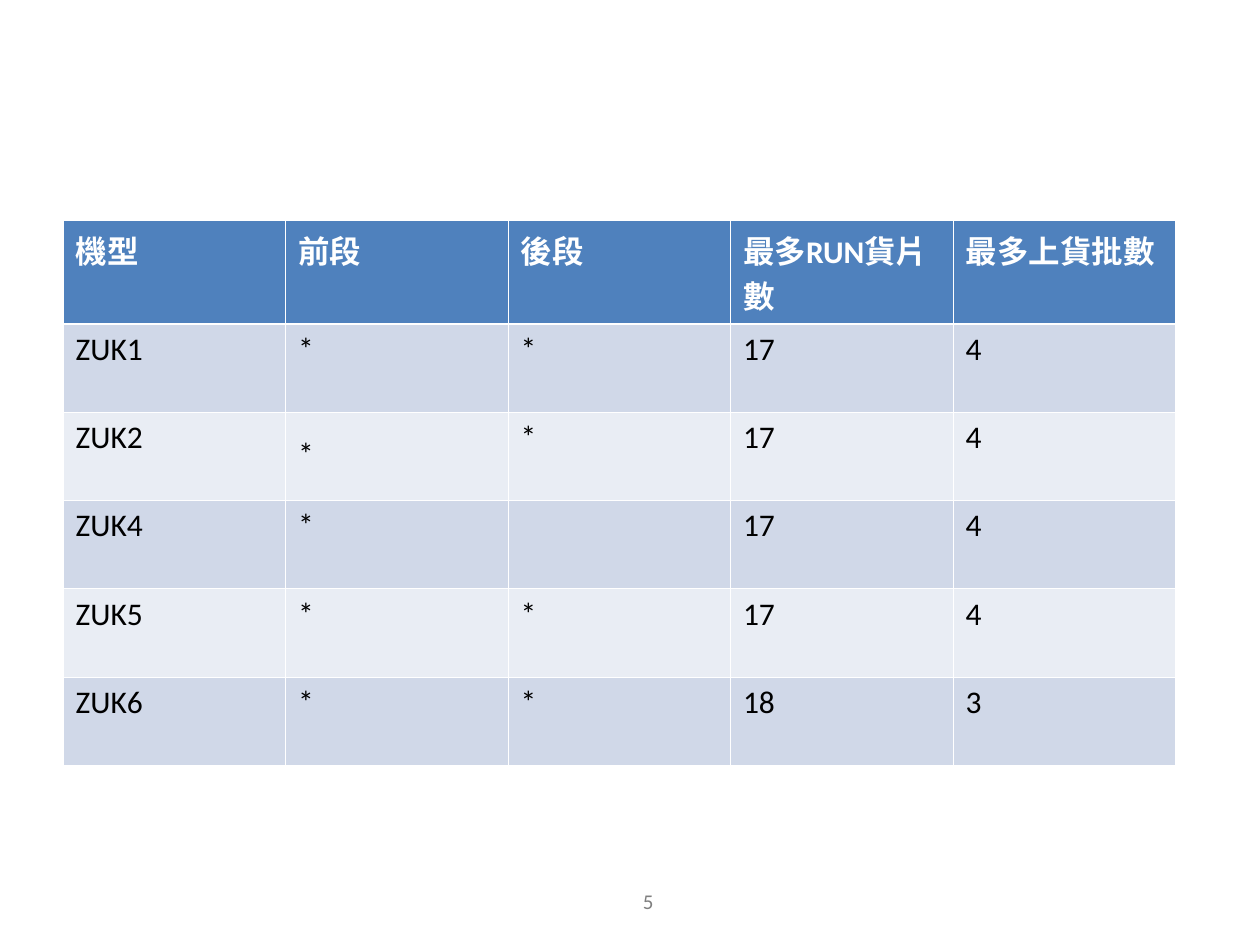
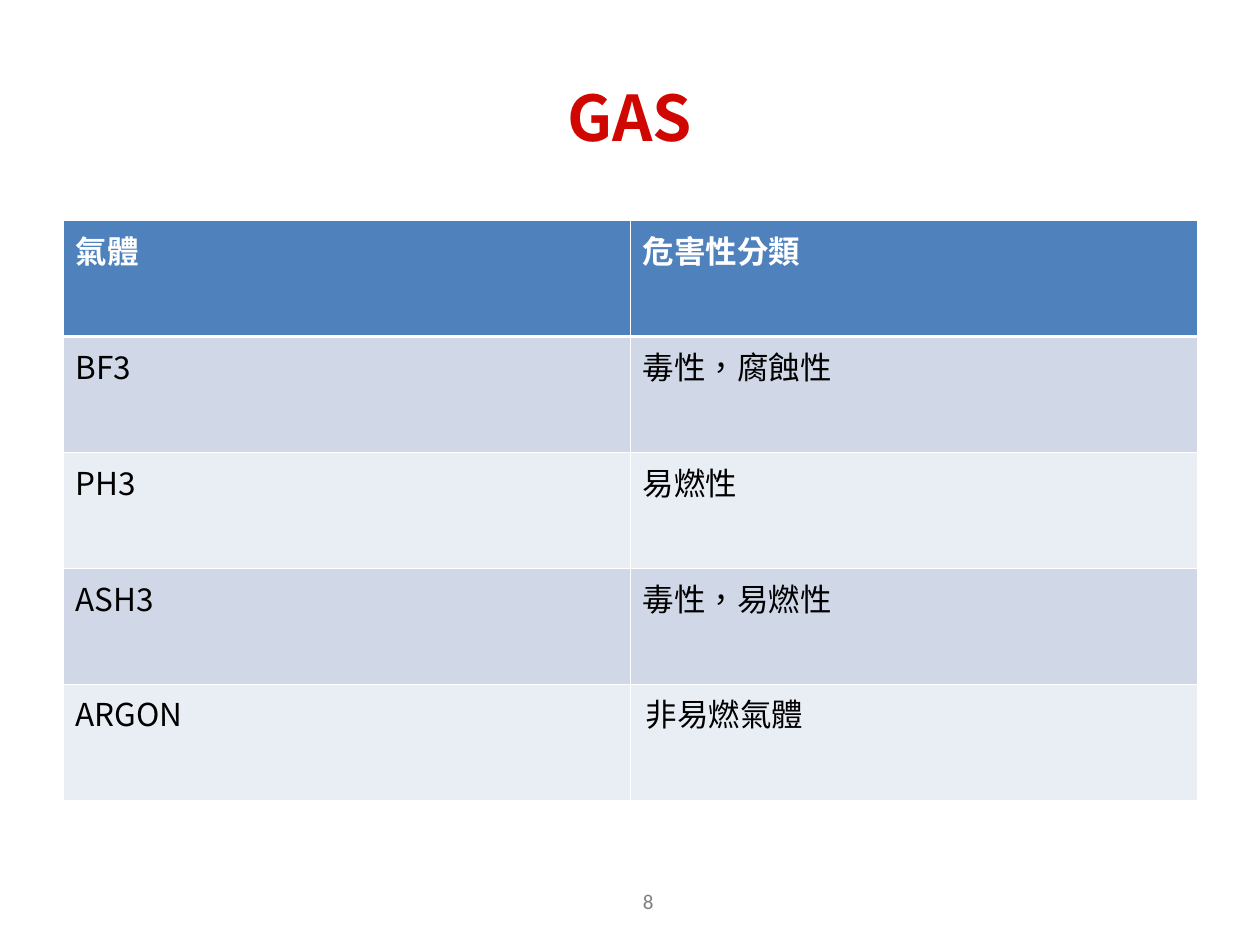
from dataclasses import dataclass, field

from lxml import etree
from pptx import Presentation
from pptx import util as u
from pptx.dml.color import RGBColor
from pptx.enum import lang, text
from pptx.oxml import ns

WHITE, BLACK, GREY, RED = "FFFFFF", "000000", "7F7F7F", "D00600"
HEADER, BANDS = "4F81BD", ("D0D8E8", "E9EDF4")
LATIN, CJK = "Calibri", "Noto Sans CJK SC"
THIN, THICK = 0.45, 1.47
TABLE_LEFT, TABLE_TOP = 36, 126


@dataclass
class Box:
    left: float
    top: float
    width: float
    height: float


@dataclass
class Grid:
    width: float
    row_height: float
    font: str
    rows: list[tuple[str, ...]]
    margins: dict[tuple[int, int], dict[str, float]] = field(default_factory=dict)


@dataclass
class Page:
    number: str
    grid: Grid
    title: str = ""


TITLE = Box(36, 21.6, 648, 90)
NUMBER = Box(286.56, 500.4, 167.76, 28.8)

PAGES = [
    Page("5", Grid(635.76, 50.4, LATIN, [
        ("機型", "前段", "後段", "最多RUN貨片數", "最多上貨批數"),
        ("ZUK1", "*", "*", "17", "4"),
        ("ZUK2", "*", "*", "17", "4"),
        ("ZUK4", "*", "", "17", "4"),
        ("ZUK5", "*", "*", "17", "4"),
        ("ZUK6", "*", "*", "18", "3"),
    ], {(2, 1): {"margin_top": 13.4}})),
    Page("8", Grid(648, 66.24, CJK, [
        ("氣體", "危害性分類"),
        ("BF3", "毒性，腐蝕性"),
        ("PH3", "易燃性"),
        ("ASH3", "毒性，易燃性"),
        ("ARGON", "非易燃氣體"),
    ], {(4, 1): {"margin_left": 9}}), "GAS"),
]


def rgb(color: str) -> RGBColor:
    return RGBColor.from_string(color)


def write(tf, content: str, *, size: float, color: str, font: str = LATIN,
          bold: bool = False, align=text.PP_ALIGN.LEFT) -> None:
    p = tf.paragraphs[0]
    p.alignment = align
    r = p.add_run()
    r.text = content
    r.font.size = u.Pt(size)
    r.font.bold = bold
    r.font.color.rgb = rgb(color)
    r.font.name = font
    r.font.language_id = lang.MSO_LANGUAGE_ID.TRADITIONAL_CHINESE
    latin = r.font._element.find(ns.qn("a:latin"))
    ea = etree.Element(ns.qn("a:ea"), typeface=CJK)
    latin.addnext(ea)


def add_label(slide, box: Box, content: str, **style) -> None:
    sp = slide.shapes.add_textbox(
        u.Pt(box.left), u.Pt(box.top), u.Pt(box.width), u.Pt(box.height))
    tf = sp.text_frame
    tf.word_wrap = True
    tf.vertical_anchor = text.MSO_ANCHOR.MIDDLE
    write(tf, content, align=text.PP_ALIGN.CENTER, **style)


def set_borders(cell, top: float, bottom: float) -> None:
    tc_pr = cell._tc.get_or_add_tcPr()
    for side, width in (("L", THIN), ("R", THIN), ("T", top), ("B", bottom)):
        ln = etree.SubElement(tc_pr, ns.qn(f"a:ln{side}"), w=str(int(u.Pt(width))))
        fill = etree.SubElement(ln, ns.qn("a:solidFill"))
        etree.SubElement(fill, ns.qn("a:srgbClr"), val=WHITE)


def add_grid(slide, grid: Grid) -> None:
    n_rows, n_cols = len(grid.rows), len(grid.rows[0])
    table = slide.shapes.add_table(
        n_rows, n_cols, u.Pt(TABLE_LEFT), u.Pt(TABLE_TOP),
        u.Pt(grid.width), u.Pt(grid.row_height * n_rows)).table
    table.first_row = table.horz_banding = False
    for i, row in enumerate(grid.rows):
        header = i == 0
        for j, content in enumerate(row):
            cell = table.cell(i, j)
            set_borders(cell, THICK if i == 1 else THIN, THICK if header else THIN)
            cell.fill.solid()
            cell.fill.fore_color.rgb = rgb(HEADER if header else BANDS[(i - 1) % 2])
            for side, margin in grid.margins.get((i, j), {}).items():
                setattr(cell, side, u.Pt(margin))
            if content:
                write(cell.text_frame, content, size=18, font=grid.font,
                      color=WHITE if header else BLACK, bold=header)


def main() -> None:
    prs = Presentation()
    prs.slide_width, prs.slide_height = u.Pt(720), u.Pt(540)
    for page in PAGES:
        slide = prs.slides.add_slide(prs.slide_layouts[6])
        if page.title:
            add_label(slide, TITLE, page.title, size=36, color=RED, font=CJK, bold=True)
        add_grid(slide, page.grid)
        add_label(slide, NUMBER, page.number, size=12, color=GREY)
    prs.save("out.pptx")


if __name__ == "__main__":
    main()
